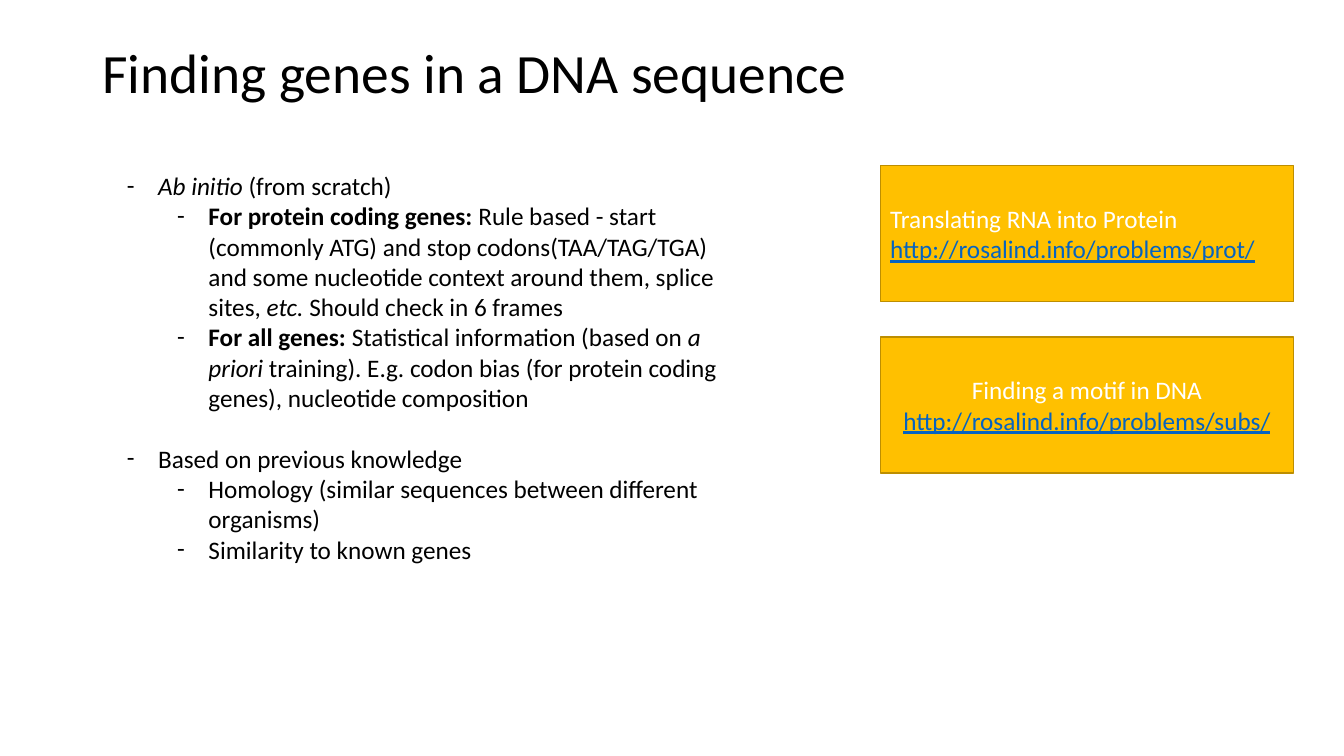
from lxml.etree import SubElement
from pptx import Presentation
from pptx.dml.color import RGBColor
from pptx.enum.shapes import MSO_SHAPE
from pptx.enum.text import MSO_ANCHOR, MSO_AUTO_SIZE, PP_ALIGN
from pptx.oxml.ns import qn
from pptx.util import Inches, Pt

COLS, ROWS = 160, 90
LEFT, MID = PP_ALIGN.LEFT, PP_ALIGN.CENTER
BLACK, WHITE, LINK, GOLD, EDGE = "000000", "FFFFFF", "0563C1", "FFC000", "BD8E00"

TOP, PITCH = 19.7, 20.4
CARDS = [
    ("Translating RNA into Protein", "http://rosalind.info/problems/prot/", LEFT),
    ("Finding a motif in DNA", "http://rosalind.info/problems/subs/", MID),
]
POINTS = [
    (0, 0, [("Ab initio ", "i"), ("(from scratch)", "")]),
    (1, 0, [
        ("For protein coding genes:", "b"),
        (" Rule based - start (commonly ATG) and stop codons(TAA/TAG/TGA) "
         "and some nucleotide context around them, splice sites, ", ""),
        ("etc. ", "i"),
        ("Should check in 6 frames", ""),
    ]),
    (1, 0, [
        ("For all genes: ", "b"),
        ("Statistical information (based on ", ""),
        ("a priori ", "i"),
        ("training). E.g. codon bias (for protein coding genes), "
         "nucleotide composition", ""),
    ]),
    (0, 22, [("Based on previous knowledge", "")]),
    (1, 0, [("Homology (similar sequences between different organisms)", "")]),
    (1, 0, [("Similarity to known genes", "")]),
]


def color(code):
    return RGBColor.from_string(code)


class Deck:
    """Holds the text style and the current slide."""

    def __init__(self, font, size):
        self.font, self.size = font, size
        self.prs = Presentation()
        self.prs.slide_width, self.prs.slide_height = Inches(13.33), Inches(7.5)
        self.slide = self.prs.slides.add_slide(self.prs.slide_layouts[1])

    def area(self, col, row, wide, high):
        w, h = self.prs.slide_width, self.prs.slide_height
        return (int(col * w / COLS), int(row * h / ROWS),
                int(wide * w / COLS), int(high * h / ROWS))

    def place(self, shape, *cells):
        shape.left, shape.top, shape.width, shape.height = self.area(*cells)
        return shape.text_frame

    def run(self, para, text, tone=BLACK, size=None, mark=""):
        run = para.add_run()
        run.text = text
        font = run.font
        font.name, font.size = self.font, Pt(size or self.size)
        font.color.rgb = color(tone)
        font.bold, font.italic = "b" in mark, "i" in mark
        font.underline = "u" in mark

    def para(self, frame, first, align=LEFT):
        para = frame.paragraphs[0] if first else frame.add_paragraph()
        para.alignment = align
        return para

    def title(self, text, size, *cells):
        frame = self.place(self.slide.shapes.title, *cells)
        frame.vertical_anchor = MSO_ANCHOR.MIDDLE
        frame.auto_size = MSO_AUTO_SIZE.NONE
        para = self.para(frame, True)
        para.line_spacing = 0.9
        self.run(para, text, size=size)

    def points(self, items, *cells):
        frame = self.place(self.slide.placeholders[1], *cells)
        frame.auto_size = MSO_AUTO_SIZE.NONE
        for num, (level, gap, runs) in enumerate(items):
            para = self.para(frame, num == 0)
            para.level, para.line_spacing = level, 1.0
            para.space_before, para.space_after = Pt(gap), Pt(0)
            props = para._p.get_or_add_pPr()
            props.set("marL", str(Inches(0.31 + level * 0.5)))
            props.set("indent", str(Inches(-0.31)))
            SubElement(props, qn("a:buFont"), typeface=self.font)
            SubElement(props, qn("a:buChar"), char="-")
            for text, mark in runs:
                self.run(para, text, mark=mark)

    def card(self, name, link, align, *cells):
        box = self.slide.shapes.add_shape(MSO_SHAPE.RECTANGLE, *self.area(*cells))
        box.shadow.inherit = False
        box.fill.solid()
        box.fill.fore_color.rgb = color(GOLD)
        box.line.color.rgb, box.line.width = color(EDGE), Pt(1)
        frame = box.text_frame
        frame.word_wrap, frame.vertical_anchor = True, MSO_ANCHOR.MIDDLE
        self.run(self.para(frame, True, align), name, WHITE)
        self.run(self.para(frame, False, align), link, LINK, mark="u")


def main():
    deck = Deck("Calibri", 18)
    deck.title("Finding genes in a DNA sequence", 39.6, 11, 4.8, 122.6, 8.4)
    deck.points(POINTS, 13.9, TOP, 73.4, 55.7)
    for num, card in enumerate(CARDS):
        deck.card(*card, 104.8, TOP + num * PITCH, 49.2, 16.2)
    deck.prs.save("out.pptx")


if __name__ == "__main__":
    main()
